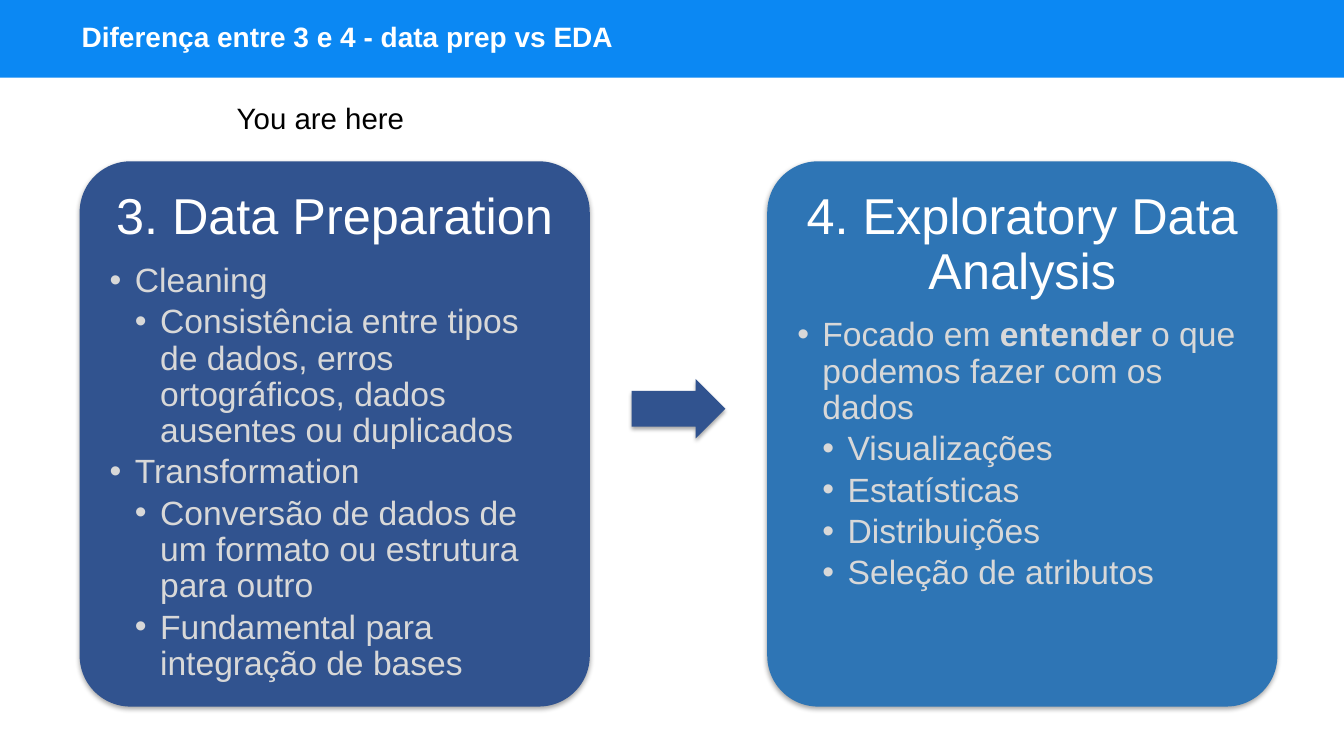
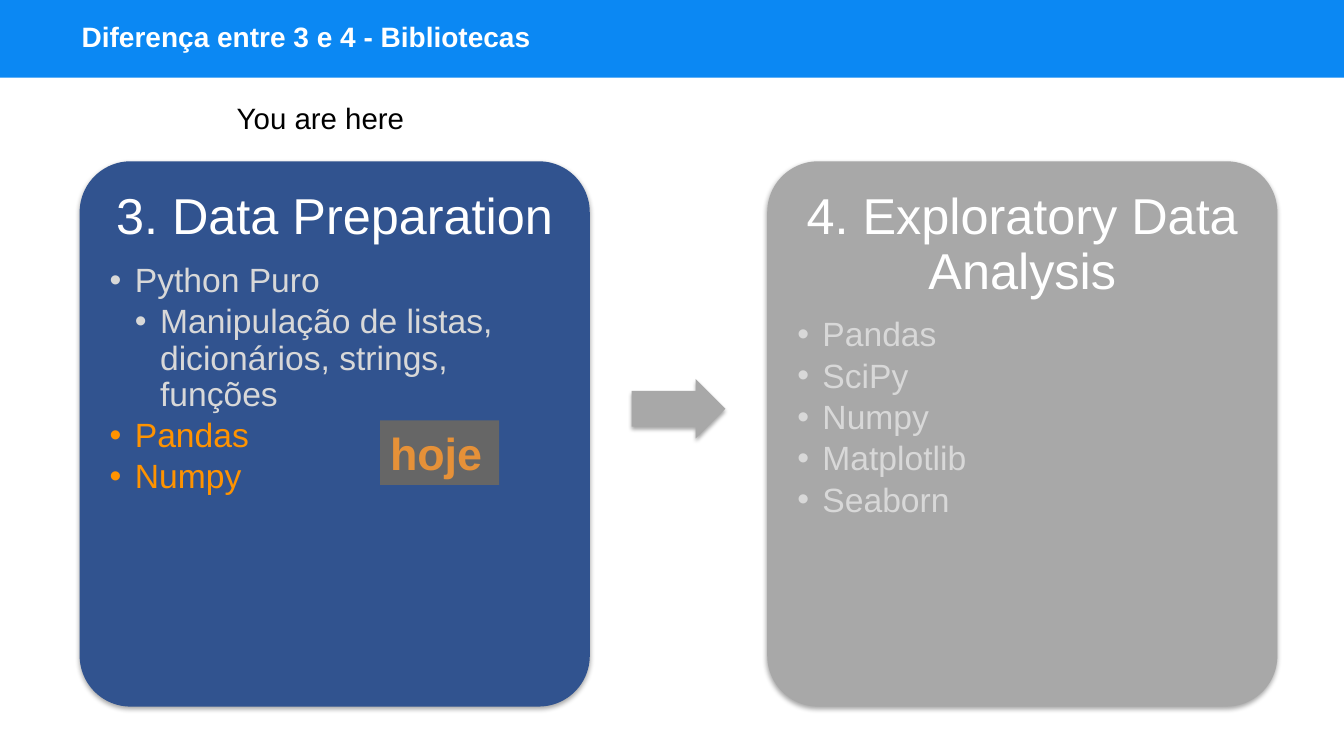
from dataclasses import dataclass

import lxml.etree
import pptx
import pptx.dml.color
import pptx.enum.shapes
import pptx.enum.text
import pptx.oxml.ns
import pptx.presentation
import pptx.shapes.autoshape
import pptx.slide
import pptx.text.text
import pptx.util
from pptx.util import Inches

SHAPE = pptx.enum.shapes.MSO_SHAPE
ALIGN = pptx.enum.text.PP_ALIGN
ANCHOR = pptx.enum.text.MSO_ANCHOR
qn = pptx.oxml.ns.qn


@dataclass(frozen=True)
class Theme:
    font: str = "Arial"
    band: str = "0B88F3"
    white: str = "FFFFFF"
    black: str = "000000"
    navy: str = "31538F"
    blue: str = "2E75B5"
    muted: str = "A8A8A8"
    body: str = "D8D8D8"
    highlight: str = "FF9300"
    tag_fill: str = "666666"
    tag_text: str = "E69138"
    title_size: float = 20
    label_size: float = 21
    body_size: float = 24
    tag_size: float = 32
    heading_size: float = 36
    line_spacing: float = 0.9


THEME = Theme()

# Shared geometry, in inches
SLIDE_WIDTH, SLIDE_HEIGHT = 13.33, 7.5
BAND_HEIGHT = 0.77
CARD_LEFTS = (0.79, 7.61)
CARD_TOP, CARD_WIDTH, CARD_HEIGHT = 1.6, 5.06, 5.41
ARROW_WIDTH, ARROW_HEIGHT = 0.93, 0.59
CARD_INSET = 0.15
BULLET_INDENT = 0.25


@dataclass(frozen=True)
class Bullet:
    """One list line; words between double asterisks are bold."""
    text: str
    level: int = 1
    color: str = THEME.body


@dataclass(frozen=True)
class Card:
    heading: str
    fill: str
    bullets: tuple[Bullet, ...]


@dataclass(frozen=True)
class Comparison:
    title: str
    cards: tuple[Card, Card]
    arrow_fill: str


COMPARISONS = (
    Comparison(
        "Diferença entre 3 e 4 - data prep vs EDA",
        (
            Card("3. Data Preparation", THEME.navy, (
                Bullet("Cleaning"),
                Bullet("Consistência entre tipos de dados, erros ortográficos, "
                       "dados ausentes ou duplicados", 2),
                Bullet("Transformation"),
                Bullet("Conversão de dados de um formato ou estrutura para outro", 2),
                Bullet("Fundamental para integração de bases", 2),
            )),
            Card("4. Exploratory Data Analysis", THEME.blue, (
                Bullet("Focado em **entender** o que podemos fazer com os dados"),
                Bullet("Visualizações", 2),
                Bullet("Estatísticas", 2),
                Bullet("Distribuições", 2),
                Bullet("Seleção de atributos", 2),
            )),
        ),
        THEME.navy,
    ),
    Comparison(
        "Diferença entre 3 e 4 - Bibliotecas",
        (
            Card("3. Data Preparation", THEME.navy, (
                Bullet("Python Puro"),
                Bullet("Manipulação de listas, dicionários, strings, funções", 2),
                Bullet("Pandas", color=THEME.highlight),
                Bullet("Numpy", color=THEME.highlight),
            )),
            Card("4. Exploratory Data Analysis", THEME.muted, tuple(
                Bullet(name)
                for name in ("Pandas", "SciPy", "Numpy", "Matplotlib", "Seaborn")
            )),
        ),
        THEME.muted,
    ),
)


# Text
def write(paragraph: pptx.text.text._Paragraph, text: str, *, size: float,
          color: str, bold: bool = False, align: ALIGN = ALIGN.LEFT,
          line_spacing: float = 1.0, space_before: float = 0) -> None:
    paragraph.alignment = align
    paragraph.line_spacing = line_spacing
    paragraph.space_before = pptx.util.Pt(space_before)
    for index, part in enumerate(text.split("**")):
        run = paragraph.add_run()
        run.text = part
        run.font.name = THEME.font
        run.font.size = pptx.util.Pt(size)
        run.font.bold = bold or index % 2 == 1
        run.font.color.rgb = pptx.dml.color.RGBColor.from_string(color)


def set_frame(frame: pptx.text.text.TextFrame, horizontal: float = 0.1,
              vertical: float = 0.05, anchor: ANCHOR = ANCHOR.TOP) -> None:
    frame.word_wrap = True
    frame.auto_size = pptx.enum.text.MSO_AUTO_SIZE.NONE
    frame.vertical_anchor = anchor
    frame.margin_left = frame.margin_right = Inches(horizontal)
    frame.margin_top = frame.margin_bottom = Inches(vertical)


def add_bullet_mark(paragraph: pptx.text.text._Paragraph, bullet: Bullet) -> None:
    paragraph.level = bullet.level
    properties = paragraph._p.get_or_add_pPr()
    properties.set("marL", str(Inches(BULLET_INDENT * bullet.level)))
    properties.set("indent", str(-Inches(BULLET_INDENT)))
    color = lxml.etree.SubElement(properties, qn("a:buClr"))
    lxml.etree.SubElement(color, qn("a:srgbClr"), val=bullet.color)
    lxml.etree.SubElement(properties, qn("a:buFont"), typeface=THEME.font)
    lxml.etree.SubElement(properties, qn("a:buChar"), char="•")


# Shapes
def add_filled_shape(slide: pptx.slide.Slide, kind: SHAPE, left: float, top: float,
                     width: float, height: float,
                     fill: str) -> pptx.shapes.autoshape.Shape:
    shape = slide.shapes.add_shape(
        kind, Inches(left), Inches(top), Inches(width), Inches(height))
    shape.fill.solid()
    shape.fill.fore_color.rgb = pptx.dml.color.RGBColor.from_string(fill)
    shape.line.fill.background()
    shape.shadow.inherit = False
    return shape


def add_soft_shadow(shape: pptx.shapes.autoshape.Shape) -> None:
    effects = shape.element.spPr.find(qn("a:effectLst"))
    shadow = lxml.etree.SubElement(
        effects, qn("a:outerShdw"), blurRad=str(pptx.util.Pt(3.1)),
        dist=str(pptx.util.Pt(1.8)), dir="5400000", rotWithShape="0")
    color = lxml.etree.SubElement(shadow, qn("a:srgbClr"), val=THEME.black)
    lxml.etree.SubElement(color, qn("a:alpha"), val="35000")


def add_card(slide: pptx.slide.Slide, card: Card, left: float) -> None:
    shape = add_filled_shape(slide, SHAPE.ROUNDED_RECTANGLE, left, CARD_TOP,
                             CARD_WIDTH, CARD_HEIGHT, card.fill)
    shape.adjustments[0] = 0.1
    add_soft_shadow(shape)
    frame = shape.text_frame
    set_frame(frame, CARD_INSET, CARD_INSET)
    write(frame.paragraphs[0], card.heading, size=THEME.heading_size,
          color=THEME.white, align=ALIGN.CENTER, line_spacing=THEME.line_spacing)
    for index, bullet in enumerate(card.bullets):
        paragraph = frame.add_paragraph()
        write(paragraph, bullet.text, size=THEME.body_size, color=bullet.color,
              line_spacing=THEME.line_spacing,
              space_before=3.6 if index else 12.6)
        add_bullet_mark(paragraph, bullet)


def add_arrow(slide: pptx.slide.Slide, fill: str) -> None:
    center = (CARD_LEFTS[0] + CARD_WIDTH + CARD_LEFTS[1]) / 2
    top = CARD_TOP + (CARD_HEIGHT - ARROW_HEIGHT) / 2 - 0.25
    arrow = add_filled_shape(slide, SHAPE.RIGHT_ARROW, center - ARROW_WIDTH / 2,
                             top, ARROW_WIDTH, ARROW_HEIGHT, fill)
    arrow.adjustments[0], arrow.adjustments[1] = 0.6, 0.5
    add_soft_shadow(arrow)


def add_location_label(slide: pptx.slide.Slide) -> None:
    label = slide.shapes.add_textbox(
        Inches(2.25), Inches(0.94), Inches(1.87), Inches(0.4))
    set_frame(label.text_frame)
    write(label.text_frame.paragraphs[0], "You are here",
          size=THEME.label_size, color=THEME.black)


def add_today_tag(slide: pptx.slide.Slide) -> None:
    tag = add_filled_shape(slide, SHAPE.RECTANGLE, 3.77, 4.17, 1.18, 0.64,
                           THEME.tag_fill)
    set_frame(tag.text_frame)
    write(tag.text_frame.paragraphs[0], "hoje", size=THEME.tag_size,
          color=THEME.tag_text, bold=True)


# Slides
def add_band_to_layout(slide: pptx.slide.Slide) -> None:
    """Draw the title band and move it behind everything on the layout."""
    band = add_filled_shape(slide, SHAPE.RECTANGLE, 0, 0, SLIDE_WIDTH,
                            BAND_HEIGHT, THEME.band)
    slide.slide_layout.shapes.element.insert(2, band.element)


def set_title(slide: pptx.slide.Slide, text: str) -> None:
    title = slide.shapes.title
    title.left, title.top = Inches(0.71), Inches(0)
    title.width, title.height = Inches(11.5), Inches(BAND_HEIGHT)
    set_frame(title.text_frame, anchor=ANCHOR.MIDDLE)
    write(title.text_frame.paragraphs[0], text, size=THEME.title_size,
          color=THEME.white, bold=True, line_spacing=THEME.line_spacing)


def add_comparison(presentation: pptx.presentation.Presentation,
                   comparison: Comparison) -> pptx.slide.Slide:
    layout = presentation.slide_layouts.get_by_name("Title Only")
    slide = presentation.slides.add_slide(layout)
    set_title(slide, comparison.title)
    for card, left in zip(comparison.cards, CARD_LEFTS):
        add_card(slide, card, left)
    add_arrow(slide, comparison.arrow_fill)
    add_location_label(slide)
    return slide


def main() -> None:
    presentation = pptx.Presentation()
    presentation.slide_width = Inches(SLIDE_WIDTH)
    presentation.slide_height = Inches(SLIDE_HEIGHT)
    slides = [add_comparison(presentation, item) for item in COMPARISONS]
    add_band_to_layout(slides[0])
    add_today_tag(slides[1])
    presentation.save("out.pptx")


if __name__ == "__main__":
    main()
